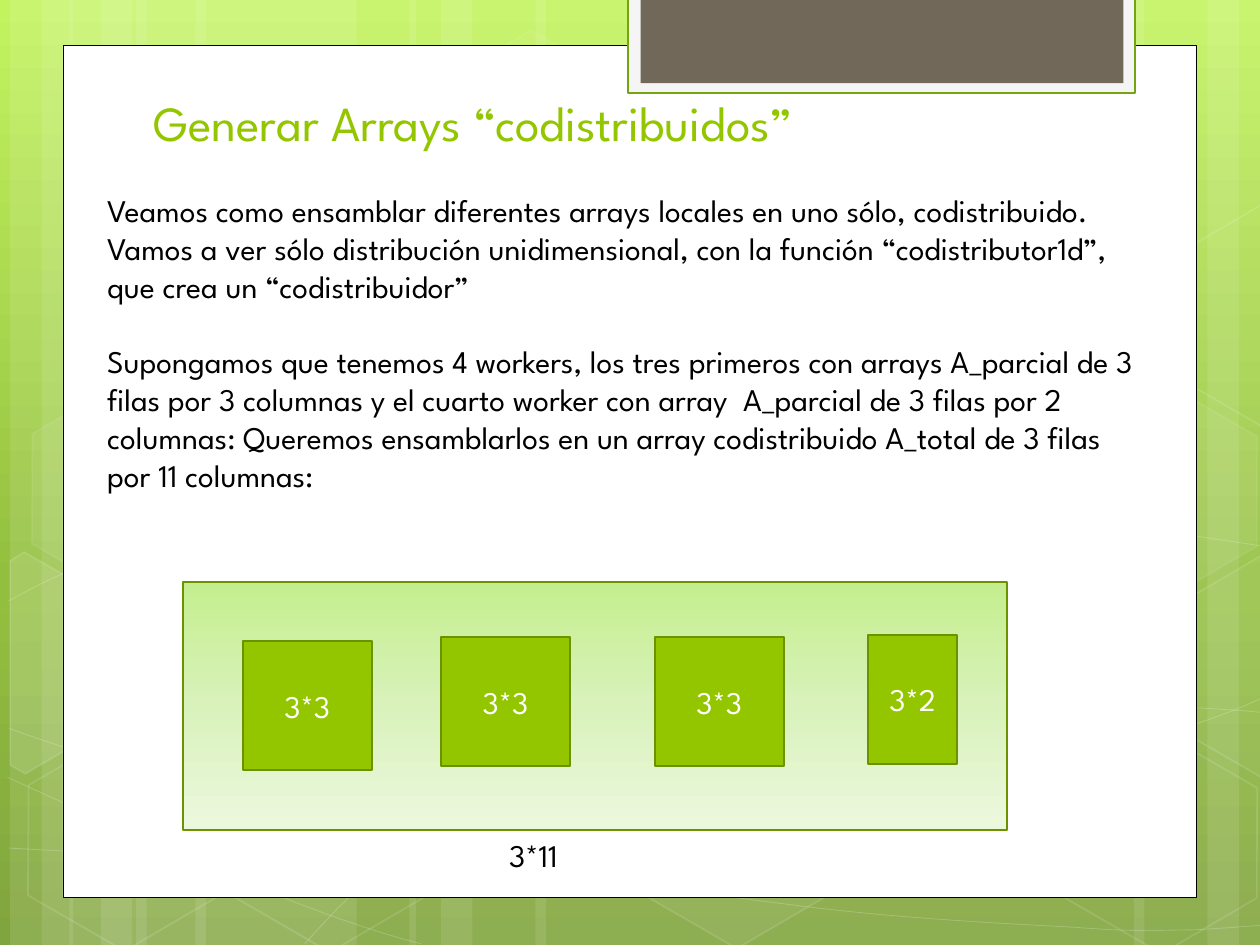
from math import cos, radians, sin

from lxml import etree
from pptx import Presentation
from pptx.dml.color import RGBColor
from pptx.enum.shapes import MSO_SHAPE
from pptx.enum.text import MSO_ANCHOR, MSO_AUTO_SIZE, PP_ALIGN
from pptx.oxml.ns import qn
from pptx.util import Pt

RECT, HEXAGON = MSO_SHAPE.RECTANGLE, MSO_SHAPE.HEXAGON
LEFT, CENTER = PP_ALIGN.LEFT, PP_ALIGN.CENTER
TOP, MIDDLE, BOTTOM = MSO_ANCHOR.TOP, MSO_ANCHOR.MIDDLE, MSO_ANCHOR.BOTTOM
FONT = "League Spartan"
WHITE, BLACK, LIME, OLIVE = "FFFFFF", "000000", "94C600", "6D9200"
W, H, TILT = 720, 540, 30

# Each curve: start point, then cubic segments (control, control, end).
CURVES = [
    ((5, 484.6), [(43.9, 486.7, 82.8, 488.9, 136.8, 488.2),
                  (190.8, 487.4, 257.8, 486, 329.8, 478.8),
                  (401.8, 471.6, 504, 457.9, 570.2, 444.2),
                  (635.8, 430.6, 703.4, 409, 725, 396.7)]),
    ((5, 343.4), [(25.9, 331.9, 46.8, 321.1, 87.1, 310.3),
                  (128.2, 299.5, 186.5, 283.7, 249.8, 278.6),
                  (313.9, 273.6, 391.7, 272.9, 470.9, 278.6),
                  (550.1, 284.4, 681.8, 306.7, 725, 312.5)]),
    ((4.3, 444.2), [(91.4, 483.8, 177.8, 523.4, 240.5, 539.3)]),
    ((5, 416.2), [(27.4, 424.1, 50.4, 432, 92.2, 443.5),
                  (133.9, 454.3, 196.6, 472.3, 257, 484.6),
                  (316.8, 496.8, 392.4, 509.8, 452.2, 517),
                  (511.9, 524.9, 576, 527.8, 614.2, 529.9),
                  (651.6, 532.8, 661.7, 531.4, 680.4, 531.4),
                  (699.1, 530.6, 712.1, 529.2, 725, 528.5)]),
    ((174.2, 539.3), [(187.2, 524.9, 200.2, 510.5, 217.4, 497.5),
                      (234.7, 484.6, 259.2, 470.2, 279.4, 460.1),
                      (299.5, 450, 311.8, 445.7, 338.4, 438.5),
                      (364.3, 431.3, 412.6, 421.2, 437.8, 416.2),
                      (463.7, 411.1, 467.3, 411.1, 489.6, 409.7),
                      (511.9, 407.5, 547.2, 405.4, 571.7, 404.6),
                      (596.9, 403.9, 637.9, 404.6, 637.9, 404.6),
                      (654, 404.6, 670, 404.6, 686.2, 404.6),
                      (699.1, 405.4, 711.4, 406.1, 717.8, 406.8),
                      (724.3, 407.5, 722.2, 406.8, 724.3, 407.5)]),
]
# Left, top, fill opacity, line opacity
HEXAGONS = [(240.5, 25.9, 4, 8), (357.8, 424.1, 6, 12), (7.9, 425.5, 0, 12),
            (10.1, 224.6, 7, 8), (125.3, 426.2, 0, 12), (542.2, 326.2, 10, 12),
            (600.5, 427, 0, 12), (600.5, 226.1, 7, 8)]
# Centre, outline as it stands after tilting, fill opacity
RIGHT_HEX = [(666.7, 349.2), (720.7, 317.5), (726.5, 321.1), (726.5, 441.4),
             (721.4, 444.2), (666.7, 412.6)]
CUT_HEXAGONS = [
    ((25.9, 385.2), [(5.8, 320.4), (13.7, 315.4), (69.1, 347), (68.4, 410.4),
                     (14.4, 442.1), (5.8, 437)], 10),
    ((709.2, 374.4), RIGHT_HEX, 4),
    ((709.2, 173.5), [(x, y - 200.5) for x, y in RIGHT_HEX], 0),
]


def rgb(value):
    """Turn a hex string into a colour."""
    return RGBColor.from_string(value)


def fade(element, percent):
    """Set the opacity of the solid fill inside an element."""
    clr = element.find(qn("a:solidFill")).find(qn("a:srgbClr"))
    etree.SubElement(clr, qn("a:alpha")).set("val", str(percent * 1000))


def gradient(fill, element, stops):
    """Give a fill a top-to-bottom gradient of (percent, colour) stops."""
    fill.gradient()
    fill.gradient_angle = 270
    gs_list = element.find(".//" + qn("a:gsLst"))
    for gs in list(gs_list):
        gs_list.remove(gs)
    for pos, color in stops:
        gs = etree.SubElement(gs_list, qn("a:gs"), pos=str(pos * 1000))
        etree.SubElement(gs, qn("a:srgbClr"), val=color)


def paint(sp, fill=None, line=None, width=1, fill_alpha=100, line_alpha=100):
    """Set fill and line of a shape and drop its shadow."""
    sp.shadow.inherit = False
    if fill and fill_alpha:
        sp.fill.solid()
        sp.fill.fore_color.rgb = rgb(fill)
        if fill_alpha < 100:
            fade(sp.element.spPr, fill_alpha)
    else:
        sp.fill.background()
    if line:
        sp.line.color.rgb = rgb(line)
        sp.line.width = Pt(width)
        if line_alpha < 100:
            fade(sp.element.spPr.find(qn("a:ln")), line_alpha)
    else:
        sp.line.fill.background()


def add_box(s, kind, box, **style):
    """Add a painted preset shape at box (left, top, width, height)."""
    sp = s.shapes.add_shape(kind, *map(Pt, box))
    paint(sp, **style)
    return sp


def add_outline(s, points, close, **style):
    """Add a painted outline through points."""
    pts = [(Pt(x), Pt(y)) for x, y in points]
    builder = s.shapes.build_freeform(*pts[0])
    builder.add_line_segments(pts[1:], close=close)
    sp = builder.convert_to_shape()
    paint(sp, line=WHITE, **style)
    return sp


def add_curve(s, start, segments, **style):
    """Add an open curve of cubic segments."""
    points = [start] + [seg[i:i + 2] for seg in segments for i in (0, 2, 4)]
    sp = add_outline(s, points, False, **style)
    lines = sp.element.findall(".//" + qn("a:lnTo"))
    for i in range(0, len(lines), 3):
        cubic = etree.Element(qn("a:cubicBezTo"))
        lines[i].addprevious(cubic)
        for line in lines[i:i + 3]:
            cubic.append(line[0])
            line.getparent().remove(line)


def untilt(point, center):
    """Turn a point back by the tilt angle around a centre."""
    dx, dy = point[0] - center[0], point[1] - center[1]
    c, d = cos(radians(TILT)), sin(radians(TILT))
    return center[0] + dx * c + dy * d, center[1] - dx * d + dy * c


def write(sp, paragraphs, size, color, align=LEFT, anchor=TOP, wrap=True, gaps=()):
    """Write paragraphs; those whose index is in gaps follow an open line."""
    tf = sp.text_frame
    tf.word_wrap, tf.auto_size, tf.vertical_anchor = wrap, MSO_AUTO_SIZE.NONE, anchor
    for i, text in enumerate(paragraphs):
        p = tf.add_paragraph() if i else tf.paragraphs[0]
        p.alignment = align
        if i in gaps:
            p.space_before = Pt(21.6)
        r = p.add_run()
        r.text = text
        r.font.name, r.font.size = FONT, Pt(size)
        r.font.color.rgb = rgb(color)


def backdrop(s):
    """Draw the green background with its stripes, curves and hexagons."""
    gradient(s.background.fill, s.element,
             [(0, "C3F35F"), (62, "93BF3F"), (100, "81A53E")])
    left = [(77.8, 126), (5.8, 36), (23.8, 60)]
    stripes = left + [(x + 33.8, w) for x, w in left]
    stripes += [(528, 126), (690, 36), (648, 60), (306, 222), (234, 36), (252, 60)]
    for x, w in stripes:
        add_box(s, RECT, (x, 0, w, H), fill=WHITE, fill_alpha=10)
    for start, segments in CURVES:
        add_curve(s, start, segments, width=0.5, line_alpha=20)
    for x, y, fill_alpha, line_alpha in HEXAGONS:
        sp = add_box(s, HEXAGON, (x, y, 126, 109.4), fill=WHITE, line=WHITE,
                     fill_alpha=fill_alpha, line_alpha=line_alpha)
        sp.adjustments[0] = 0.285
        sp.rotation = TILT
    for center, points, fill_alpha in CUT_HEXAGONS:
        sp = add_outline(s, [untilt(pt, center) for pt in points], True,
                         fill=WHITE, fill_alpha=fill_alpha, line_alpha=12)
        sp.rotation = TILT


def panel(s, x, y, w, h):
    """Draw the white panel with the tab hanging over its top edge."""
    add_box(s, RECT, (x, y, w, h), fill=WHITE, line=BLACK, width=0.5)
    add_box(s, RECT, (x + 323, y - 27.4, 289.6, 54.7), fill="F5F5F5",
            line="74A510", width=1.25)
    add_box(s, RECT, (x + 330, y - 27.4, 276, 49), fill="71685A")


def heading(s, *box):
    """Place the slide title."""
    sp = s.shapes.title
    sp.left, sp.top, sp.width, sp.height = map(Pt, box)
    write(sp, ["Generar Arrays “codistribuidos”"], 28, LIME, anchor=BOTTOM)


def explanation(s, *box):
    """Place the explanatory paragraphs."""
    write(s.shapes.add_textbox(*map(Pt, box)), [
        "Veamos como ensamblar diferentes arrays locales en uno sólo, codistribuido.",
        "Vamos a ver sólo distribución unidimensional, con la función "
        "“codistributor1d”, que crea un “codistribuidor”",
        "Supongamos que tenemos 4 workers, los tres primeros con arrays A_parcial "
        "de 3 filas por 3 columnas y el cuarto worker con array  A_parcial de 3 "
        "filas por 2 columnas: Queremos ensamblarlos en un array codistribuido "
        "A_total de 3 filas por 11 columnas:",
    ], 18, BLACK, gaps=(2,))


def array_diagram(s, x, y, w, h):
    """Draw the total array holding the four partial arrays, and its label."""
    total = add_box(s, RECT, (x, y, w, h), line=OLIVE, width=1.25)
    gradient(total.fill, total.element,
             [(0, "C4EE8E"), (50, "D9F2BB"), (100, "ECF8DE")])
    parts = [(34, 33.8, 73.7, "3*3"), (147.2, 31.5, 73.7, "3*3"),
             (269.4, 31.5, 73.7, "3*3"), (391.2, 30.2, 51, "3*2")]
    for dx, dy, width, label in parts:
        sp = add_box(s, RECT, (x + dx, y + dy, width, 73.7), fill=LIME,
                     line=OLIVE, width=1.25)
        write(sp, [label], 18, WHITE, CENTER, MIDDLE)
    sp = s.shapes.add_textbox(Pt(x + 173.8), Pt(y + h - 0.4), Pt(52.6), Pt(28.8))
    write(sp, ["3*11"], 18, BLACK, CENTER, wrap=False)


prs = Presentation()
prs.slide_width, prs.slide_height = Pt(W), Pt(H)
s = prs.slides.add_slide(prs.slide_layouts[5])
backdrop(s)
panel(s, 36, 25.9, 648, 487)
title = s.shapes.title.element
title.getparent().append(title)
heading(s, 80.6, 26.1, 553, 64.1)
explanation(s, 54.2, 105.6, 607, 269.3)
array_diagram(s, 104.8, 332.6, 470.9, 141.8)
prs.save("out.pptx")
